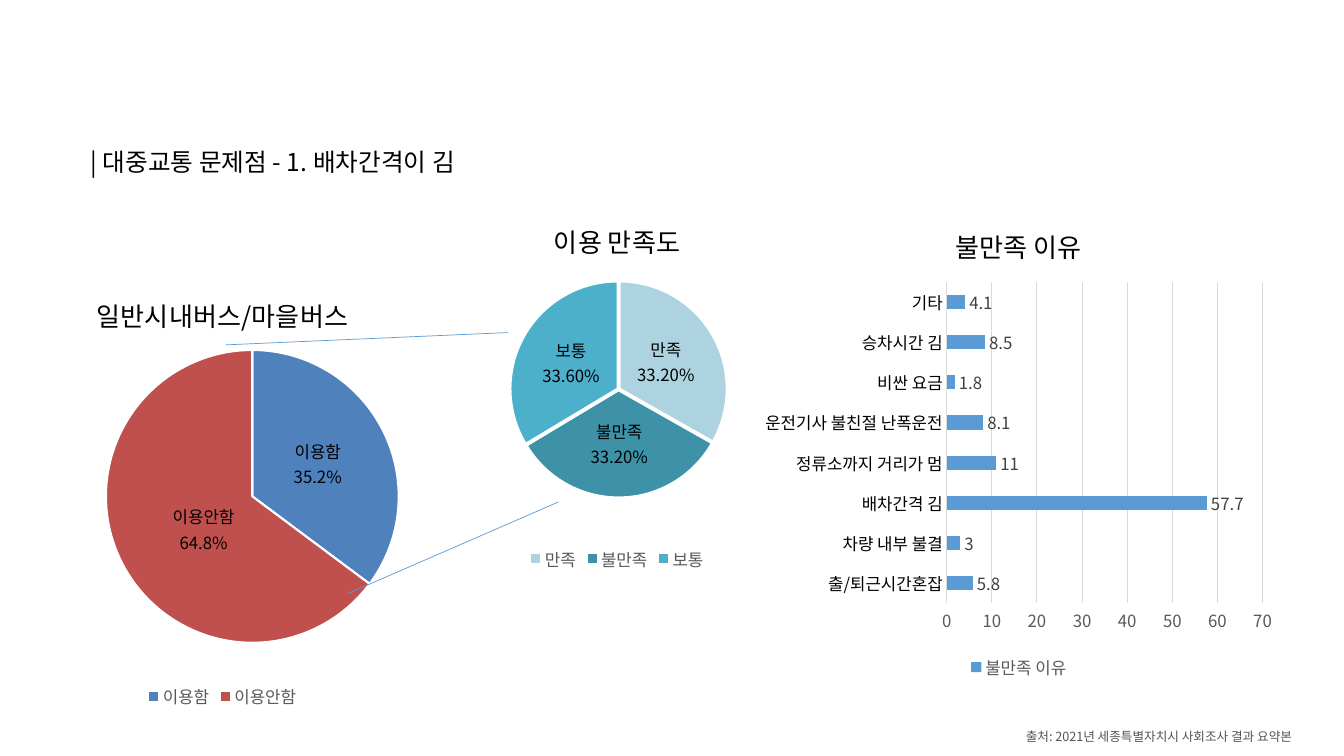
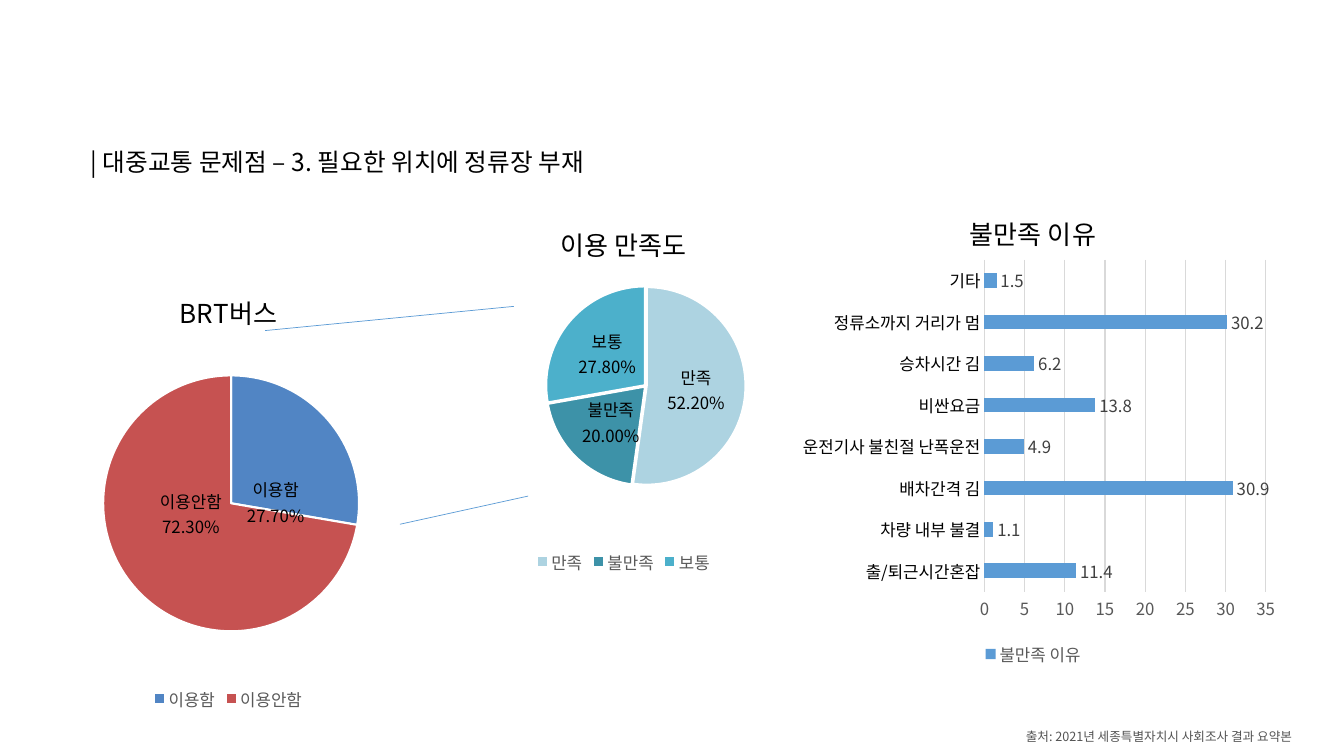
from copy import deepcopy

from pptx import Presentation
from pptx.chart.data import CategoryChartData
from pptx.dml.color import RGBColor
from pptx.enum.chart import XL_CHART_TYPE as ChartKind
from pptx.enum.chart import XL_LABEL_POSITION as LabelSpot
from pptx.enum.chart import XL_LEGEND_POSITION as LegendSpot
from pptx.enum.chart import XL_TICK_MARK as Tick
from pptx.enum.shapes import MSO_CONNECTOR as Connector
from pptx.enum.text import MSO_ANCHOR as Anchor
from pptx.enum.text import MSO_AUTO_SIZE as AutoSize
from pptx.enum.text import PP_ALIGN as Align
from pptx.oxml import parse_xml
from pptx.oxml.ns import nsdecls, qn
from pptx.util import Cm, Pt

BLACK = RGBColor(0x00, 0x00, 0x00)
WHITE = RGBColor(0xFF, 0xFF, 0xFF)
DARK_GRAY = RGBColor(0x40, 0x40, 0x40)
SOURCE_GRAY = RGBColor(0x54, 0x54, 0x54)
GRAY = RGBColor(0x59, 0x59, 0x59)
LIGHT_GRAY = RGBColor(0xD9, 0xD9, 0xD9)
BLUE = RGBColor(0x5B, 0x9B, 0xD5)
BUS_COLORS = [RGBColor(0x4F, 0x81, 0xBD), RGBColor(0xC0, 0x50, 0x4D)]
BRT_COLORS = [RGBColor(0x51, 0x85, 0xC4), RGBColor(0xC6, 0x52, 0x51)]
TEALS = [RGBColor(0xAD, 0xD3, 0xE1), RGBColor(0x3D, 0x92, 0xA8), RGBColor(0x4C, 0xB0, 0xCB)]

FACE = "Noto Sans CJK KR"
USAGE = ["이용함", "이용안함"]
SATISFACTION = ["만족", "불만족", "보통"]
SOURCE = "출처: 2021년 세종특별자치시 사회조사 결과 요약본"


def manual_layout(x, y, width=None, height=None):
    if width is None:
        parts = [("x", x), ("y", y)]
    else:
        parts = [("layoutTarget", "inner"), ("xMode", "edge"), ("yMode", "edge"),
                 ("x", x), ("y", y), ("w", width), ("h", height)]
    inner = "".join(f'<c:{tag} val="{value}"/>' for tag, value in parts)
    return f'<c:layout {nsdecls("c")}><c:manualLayout>{inner}</c:manualLayout></c:layout>'


class SurveyDeck:
    def __init__(self):
        self.deck = Presentation()
        self.deck.slide_width = Cm(33.87)
        self.deck.slide_height = Cm(19.05)
        self.page = None

    def style(self, font, size, color):
        font.name = FACE
        font.size = Pt(size)
        font.bold = False
        font.color.rgb = color
        latin = font._rPr.find(qn("a:latin"))
        latin.addnext(parse_xml(f'<a:ea {nsdecls("a")} typeface="{FACE}"/>'))

    def add_page(self, title):
        self.page = self.deck.slides.add_slide(self.deck.slide_layouts[5])
        box = self.page.shapes.title
        box.left, box.top, box.width, box.height = Cm(2.03), Cm(3.15), Cm(27.71), Cm(1.93)
        self.fill_text(box, title, 17.6, BLACK, Align.LEFT)
        box.text_frame.auto_size = AutoSize.NONE
        box.text_frame.vertical_anchor = Anchor.MIDDLE
        box.text_frame.paragraphs[0].line_spacing = 0.9

    def fill_text(self, box, text, size, color, align):
        box.text_frame.text = text
        box.text_frame.word_wrap = True
        para = box.text_frame.paragraphs[0]
        para.alignment = align
        for span in para.runs:
            self.style(span.font, size, color)

    def add_source(self):
        box = self.page.shapes.add_textbox(Cm(21.29), Cm(18.24), Cm(11.51), Cm(0.64))
        self.fill_text(box, SOURCE, 9, SOURCE_GRAY, Align.RIGHT)

    def add_line(self, *ends):
        line = self.page.shapes.add_connector(Connector.STRAIGHT, *map(Cm, ends))
        line.line.color.rgb = BLUE
        line.line.width = Pt(0.5)
        line._element.spPr.append(parse_xml(f'<a:effectLst {nsdecls("a")}/>'))

    def add_chart(self, kind, frame, plot_box, title, series_name, categories, values, pattern):
        data = CategoryChartData(number_format=pattern)
        data.categories = categories
        data.add_series(series_name, values)
        chart = self.page.shapes.add_chart(kind, *map(Cm, frame), data).chart
        self.style(chart.font, 10, BLACK)
        chart.has_title = True
        heading = chart.chart_title.text_frame
        heading.text = title
        self.style(heading.paragraphs[0].runs[0].font, 18.6, BLACK)
        chart.has_legend = True
        chart.legend.position = LegendSpot.BOTTOM
        chart.legend.include_in_layout = False
        self.style(chart.legend.font, 12, GRAY)
        body = chart.element.find(qn("c:chart"))
        body.addnext(parse_xml(f'<c:spPr {nsdecls("c", "a")}><a:noFill/><a:ln><a:noFill/></a:ln></c:spPr>'))
        area = body.find(qn("c:plotArea"))
        for layout in area.findall(qn("c:layout")):
            area.remove(layout)
        left, top, width, height = frame
        x, y, plot_width, plot_height = plot_box
        area.insert(0, parse_xml(manual_layout(
            (x - left) / width, (y - top) / height, plot_width / width, plot_height / height)))
        return chart

    def add_labels(self, series, pattern, color, spot):
        labels = series.data_labels
        labels.show_value = True
        labels.number_format = pattern
        labels.number_format_is_linked = False
        labels.position = spot
        self.style(labels.font, 12, color)
        return labels

    def add_pie(self, frame, plot_box, title, categories, values, colors,
                pattern="0.00%", explosion=0, shifts=()):
        chart = self.add_chart(ChartKind.PIE, frame, (*plot_box, plot_box[-1]), title,
                               "Series 1", categories, values, pattern)
        chart.plots[0].vary_by_categories = True
        series = chart.plots[0].series[0]
        for index, color in enumerate(colors):
            look = series.points[index].format
            look.fill.solid()
            look.fill.fore_color.rgb = color
            look.line.color.rgb = WHITE
            look.line.width = Pt(1.5)
        if explosion:
            first = series._element.find(qn("c:dPt"))
            first.addprevious(parse_xml(f'<c:explosion {nsdecls("c")} val="{explosion}"/>'))
        labels = self.add_labels(series, pattern, BLACK, LabelSpot.CENTER)
        labels.show_category_name = True
        holder = series._element.find(qn("c:dLbls"))
        holder.find(qn("c:showBubbleSize")).addnext(
            parse_xml(f'<c:separator {nsdecls("c")}>\n</c:separator>'))
        shared = [part for part in holder if part.tag != qn("c:showLeaderLines")]
        for position, (index, x, y) in enumerate(shifts):
            label = parse_xml(f'<c:dLbl {nsdecls("c")}><c:idx val="{index}"/>{manual_layout(x, y)}</c:dLbl>')
            label.extend(deepcopy(part) for part in shared)
            holder.insert(position, label)

    def add_reasons(self, frame, plot_box, reasons, maximum, step):
        chart = self.add_chart(ChartKind.BAR_CLUSTERED, frame, plot_box, "불만족 이유",
                               "불만족 이유", list(reasons), list(reasons.values()), "General")
        plot = chart.plots[0]
        plot.gap_width = 182
        plot.vary_by_categories = False
        series = plot.series[0]
        series.format.fill.solid()
        series.format.fill.fore_color.rgb = BLUE
        self.add_labels(series, "General", DARK_GRAY, LabelSpot.OUTSIDE_END)
        names, scale = chart.category_axis, chart.value_axis
        for axis, color in ((names, BLACK), (scale, GRAY)):
            axis.major_tick_mark = axis.minor_tick_mark = Tick.NONE
            self.style(axis.tick_labels.font, 12, color)
        scale.minimum_scale, scale.maximum_scale, scale.major_unit = 0, maximum, step
        scale.format.line.fill.background()
        scale.has_major_gridlines = True
        for line in (names.format.line, scale.major_gridlines.format.line):
            line.color.rgb = LIGHT_GRAY
            line.width = Pt(0.75)

    def add_satisfaction(self, frame, plot_box, values):
        self.add_pie(frame, plot_box, "이용 만족도", SATISFACTION, values, TEALS, explosion=1)


def main():
    survey = SurveyDeck()

    survey.add_page("| 대중교통 문제점 - 1. 배차간격이 김")
    survey.add_pie((-1.4, 6.91, 14.02, 11.05), (2.67, 8.82, 7.38), "일반시내버스/마을버스",
                   USAGE, [0.352, 0.648], BUS_COLORS, pattern="0.0%", shifts=[(1, 0.03, 0)])
    survey.add_line(5.69, 8.69, 12.8, 8.38)
    survey.add_line(8.76, 14.96, 14.07, 12.65)
    survey.add_satisfaction((7.21, 5.08, 16.69, 9.42), (12.86, 7.08, 5.46), [0.332, 0.332, 0.336])
    survey.add_reasons((19.02, 5.16, 13.31, 12.07), (23.86, 7.1, 7.96, 8.11), {
        "출/퇴근시간혼잡": 5.8, "차량 내부 불결": 3, "배차간격 김": 57.7,
        "정류소까지 거리가 멈": 11, "운전기사 불친절 난폭운전": 8.1,
        "비싼 요금": 1.8, "승차시간 김": 8.5, "기타": 4.1}, 70, 10)
    survey.add_source()

    survey.add_page("| 대중교통 문제점 – 3. 필요한 위치에 정류장 부재")
    survey.add_pie((0.28, 6.83, 10.95, 11.2), (2.6, 9.46, 6.45), "BRT버스",
                   USAGE, [0.277, 0.723], BRT_COLORS, shifts=[(0, -0.01, 0.09), (1, 0.02, -0.07)])
    survey.add_satisfaction((7.37, 5.16, 16.69, 9.42), (13.76, 7.21, 5.03), [0.522, 0.2, 0.278])
    survey.add_line(6.68, 8.33, 12.95, 7.72)
    survey.add_line(10.08, 13.21, 13.31, 12.5)
    survey.add_reasons((19.38, 4.83, 13.31, 12.07), (24.81, 6.55, 7.09, 8.36), {
        "출/퇴근시간혼잡": 11.4, "차량 내부 불결": 1.1, "배차간격 김": 30.9,
        "운전기사 불친절 난폭운전": 4.9, "비싼요금": 13.8, "승차시간 김": 6.2,
        "정류소까지 거리가 멈": 30.2, "기타": 1.5}, 35, 5)
    survey.add_source()

    survey.deck.save("out.pptx")


if __name__ == "__main__":
    main()
